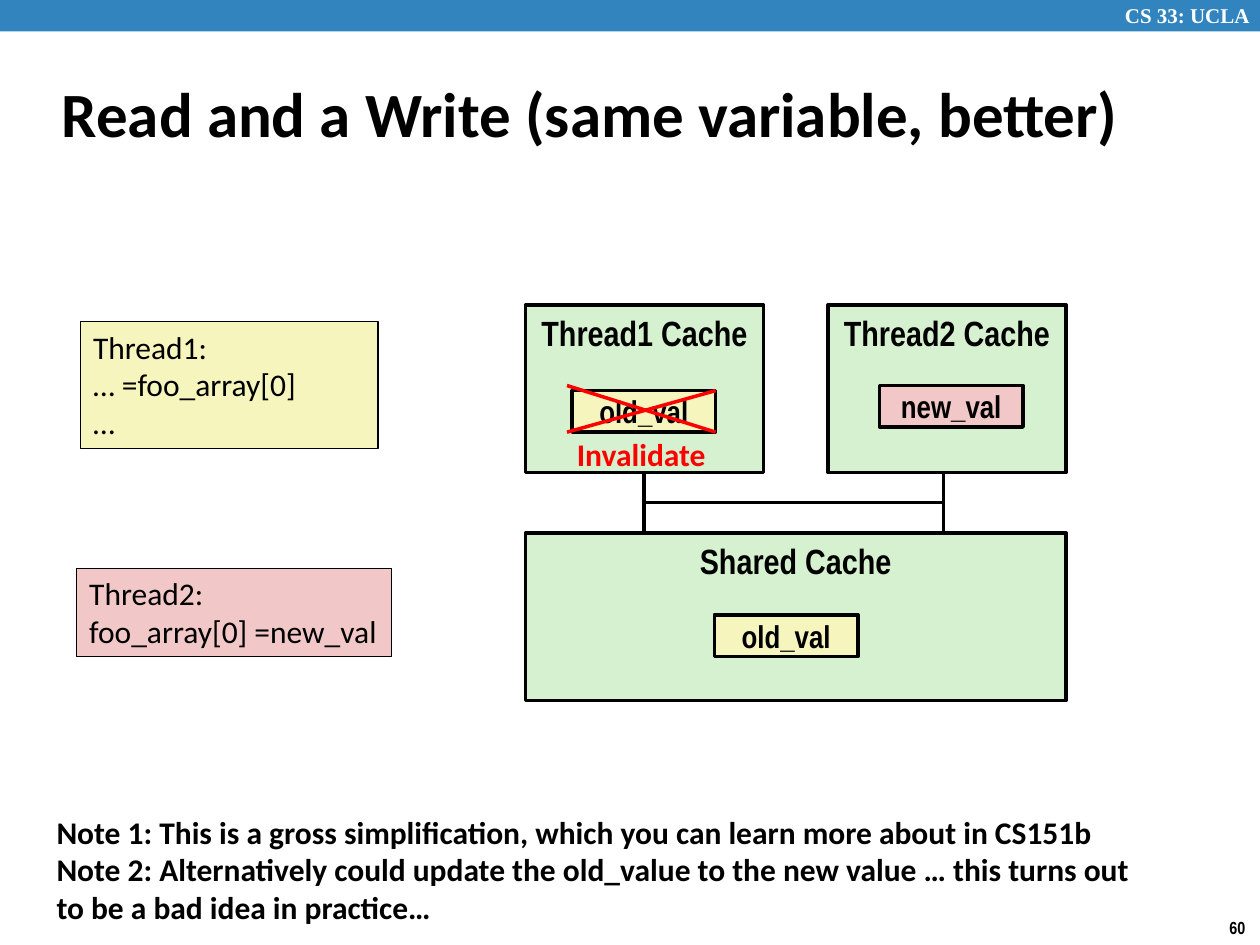
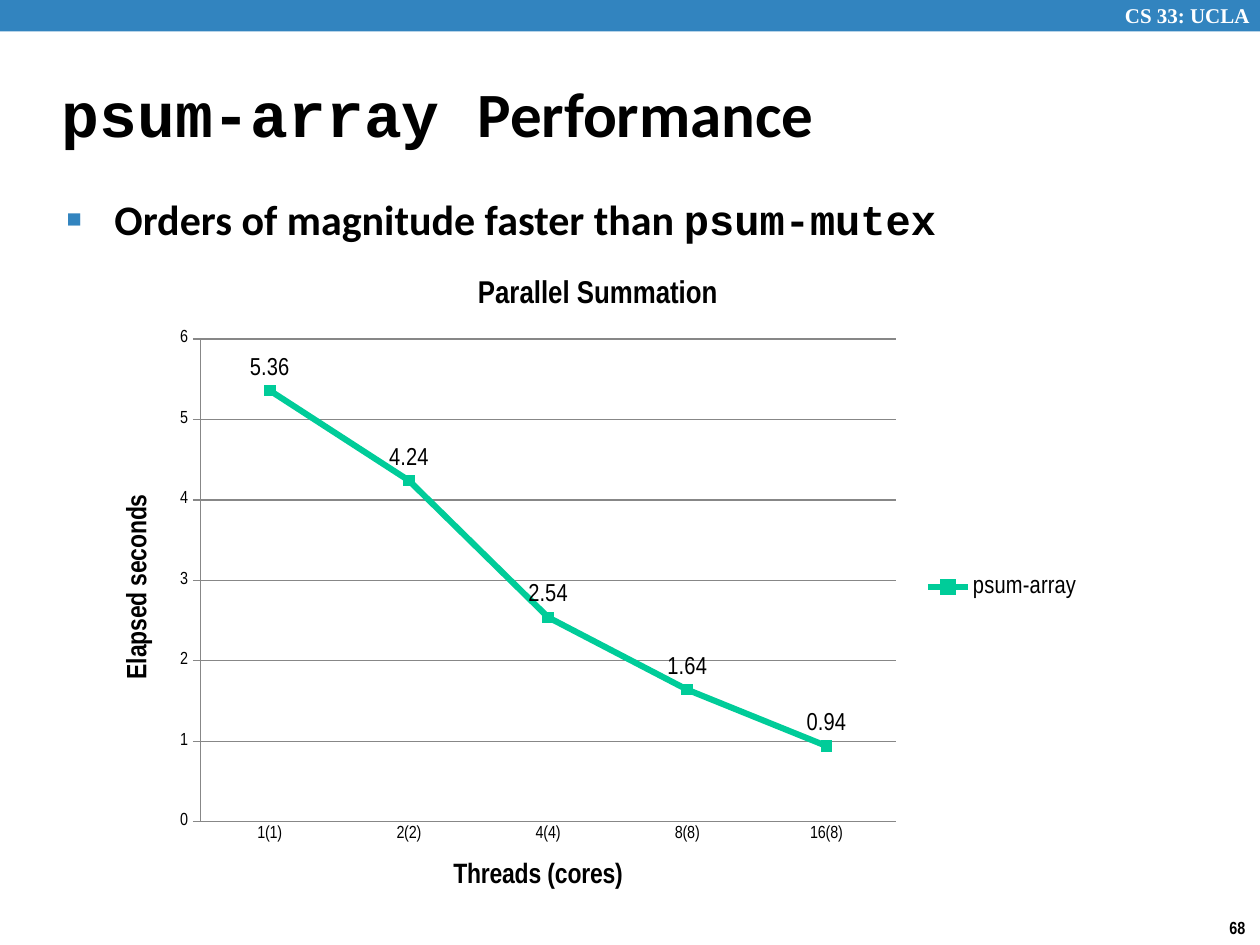
from lxml import etree
from pptx import Presentation
from pptx.chart.data import CategoryChartData
from pptx.dml.color import RGBColor
from pptx.enum.chart import (XL_CHART_TYPE, XL_LABEL_POSITION, XL_LEGEND_POSITION,
                             XL_MARKER_STYLE, XL_TICK_MARK)
from pptx.enum.shapes import MSO_CONNECTOR, MSO_SHAPE
from pptx.enum.text import MSO_ANCHOR, MSO_AUTO_SIZE, PP_ALIGN
from pptx.oxml.ns import qn
from pptx.util import Inches, Pt

BLUE = RGBColor(0x32, 0x84, 0xBF)
GREEN = RGBColor(0xD5, 0xF1, 0xCF)
YELLOW = RGBColor(0xF6, 0xF5, 0xBD)
PINK = RGBColor(0xF1, 0xC7, 0xC7)
TEAL = RGBColor(0x00, 0xCC, 0x99)
RED = RGBColor(0xFF, 0x00, 0x00)
GRAY = RGBColor(0x87, 0x87, 0x87)
BLACK = RGBColor(0x00, 0x00, 0x00)
WHITE = RGBColor(0xFF, 0xFF, 0xFF)

SANS, NARROW, MONO, SERIF = "Calibri", "Arial Narrow", "Courier New", "Times New Roman"

RECTANGLE = MSO_SHAPE.RECTANGLE
STRAIGHT = MSO_CONNECTOR.STRAIGHT
LEFT, CENTER = PP_ALIGN.LEFT, PP_ALIGN.CENTER
TOP, MIDDLE = MSO_ANCHOR.TOP, MSO_ANCHOR.MIDDLE
NO_AUTOFIT = MSO_AUTO_SIZE.NONE
LINE_MARKERS = XL_CHART_TYPE.LINE_MARKERS
SQUARE = XL_MARKER_STYLE.SQUARE
LABEL_ABOVE = XL_LABEL_POSITION.ABOVE
LEGEND_RIGHT = XL_LEGEND_POSITION.RIGHT
TICK_NONE, TICK_OUT = XL_TICK_MARK.NONE, XL_TICK_MARK.OUTSIDE


def style_font(font, size, name, color=BLACK, bold=False):
    font.size = Pt(size)
    font.name = name
    font.color.rgb = color
    font.bold = bold


def write_text(shape, text, size, name=SANS, color=BLACK, bold=True,
               align=LEFT, anchor=TOP, wrap=True):
    frame = shape.text_frame
    frame.text = text
    frame.auto_size = NO_AUTOFIT
    frame.word_wrap = wrap
    frame.vertical_anchor = anchor
    for para in frame.paragraphs:
        para.alignment = align
        for span in para.runs:
            style_font(span.font, size, name, color, bold)
    return frame


def add_code_run(para, text, size):
    span = para.add_run()
    span.text = text
    style_font(span.font, size, MONO, bold=True)


def set_hanging(para, indent):
    properties = para._p.get_or_add_pPr()
    properties.set("marL", str(Inches(indent)))
    properties.set("indent", str(-Inches(indent)))
    return properties


def add_label(page, box, text, size, **style):
    label = page.shapes.add_textbox(*map(Inches, box))
    return write_text(label, text, size, **style)


def add_box(page, box, fill, line_width=None):
    shape = page.shapes.add_shape(RECTANGLE, *map(Inches, box))
    shape.shadow.inherit = False
    shape.fill.solid()
    shape.fill.fore_color.rgb = fill
    if line_width:
        shape.line.color.rgb = BLACK
        shape.line.width = Pt(line_width)
    else:
        shape.line.fill.background()
    return shape


def add_line(page, start, end, color=BLACK):
    line = page.shapes.add_connector(STRAIGHT, *map(Inches, start + end))
    line.line.color.rgb = color
    line.line.width = Pt(2)
    etree.SubElement(line._element.spPr, qn("a:effectLst"))


def add_page(deck, title, title_width, number):
    """Add a slide with the course band, the page number and the title."""
    page = deck.slides.add_slide(deck.slide_layouts[5])
    add_box(page, (0, 0, 10, 0.25), BLUE)
    add_label(page, (8.83, -0.03, 1.24, 0.3), "CS 33: UCLA", 12, name=SERIF, color=WHITE)
    add_label(page, (9.66, 7.23, 0.34, 0.27), number, 10, name=NARROW, wrap=False)
    heading = page.shapes.title
    heading.left, heading.top = Inches(0.39), Inches(0.48)
    heading.width, heading.height = Inches(title_width), Inches(0.83)
    write_text(heading, title, 36, anchor=MIDDLE)
    set_hanging(heading.text_frame.paragraphs[0], 0.13)
    return page


def add_code_box(page, box, code, fill):
    write_text(add_box(page, box, fill, 0.75), code, 18, bold=False)


def add_cache(page, box, name):
    write_text(add_box(page, box, GREEN, 2), name, 20, name=NARROW, align=CENTER)


def add_value(page, left, top, text, fill):
    shape = add_box(page, (left, top, 1.14, 0.33), fill, 2)
    write_text(shape, text, 18, name=NARROW, align=CENTER, anchor=MIDDLE, wrap=False)


def draw_caches(page, left, top):
    """Two private caches joined by a bus to the shared cache below them."""
    width, height, private_width = 4.29, 1.33, 1.89
    second_left = left + width - private_width
    bottom, shared_top = top + height, top + 1.81
    add_cache(page, (left, shared_top, width, height), "Shared Cache")
    add_cache(page, (left, top, private_width, height), "Thread1 Cache")
    add_cache(page, (second_left, top, private_width, height), "Thread2 Cache")

    first_wire, second_wire = left + 0.94, left + 3.32
    bus = (bottom + shared_top) / 2
    for wire in (first_wire, second_wire):
        add_line(page, (wire, shared_top), (wire, bottom))
    add_line(page, (second_wire, bus), (first_wire, bus))

    add_value(page, left + 0.37, top + 0.68, "old_val", YELLOW)
    add_value(page, left + 1.5, top + 2.46, "old_val", YELLOW)
    add_value(page, left + 2.81, top + 0.64, "new_val", PINK)

    cross_left, cross_right, cross_bottom = left + 0.33, left + 1.51, top + 1.01
    add_line(page, (cross_left, top + 0.64), (cross_right, cross_bottom), RED)
    add_line(page, (cross_left, cross_bottom), (cross_right, top + 0.68), RED)
    add_label(page, (left + 0.31, top + 0.98, 1.23, 0.4), "Invalidate", 18,
              color=RED, wrap=False)


def add_bullet(page, box, text, code):
    frame = add_label(page, box, text, 24)
    para = frame.paragraphs[0]
    properties = set_hanging(para, 0.38)
    color = etree.SubElement(properties, qn("a:buClr"))
    etree.SubElement(color, qn("a:srgbClr"), val=str(BLUE))
    etree.SubElement(properties, qn("a:buSzPct"), val="60000")
    etree.SubElement(properties, qn("a:buFont"), typeface="Arial")
    etree.SubElement(properties, qn("a:buChar"), char="■")
    add_code_run(para, code, 24)


def set_chart_title(owner, text, size):
    """Title a chart or one of its axes."""
    owner.has_title = True
    title = owner.chart_title if hasattr(owner, "chart_title") else owner.axis_title
    title.text_frame.text = text
    style_font(title.text_frame.paragraphs[0].runs[0].font, size, NARROW, bold=True)


def set_plot_area(chart, **fractions):
    plot_area = chart._chartSpace.chart.plotArea
    for old in plot_area.findall(qn("c:layout")):
        plot_area.remove(old)
    layout = etree.Element(qn("c:layout"))
    plot_area.insert(0, layout)
    manual = etree.SubElement(layout, qn("c:manualLayout"))
    settings = {"layoutTarget": "inner", "xMode": "edge", "yMode": "edge", **fractions}
    for key, value in settings.items():
        etree.SubElement(manual, qn(f"c:{key}"), val=str(value))


def style_axis(axis, title, tick):
    set_chart_title(axis, title, 16)
    axis.major_tick_mark = tick
    axis.minor_tick_mark = TICK_NONE
    axis.format.line.color.rgb = GRAY
    style_font(axis.tick_labels.font, 10, NARROW)


def add_timing_chart(page, box):
    data = CategoryChartData()
    data.categories = ["1(1)", "2(2)", "4(4)", "8(8)", "16(8)"]
    data.add_series("psum-array", [5.36, 4.24, 2.54, 1.64, 0.94])
    chart = page.shapes.add_chart(LINE_MARKERS, *map(Inches, box), data).chart
    style_font(chart.font, 10, NARROW)
    set_chart_title(chart, "Parallel Summation", 18)
    set_plot_area(chart, x=0.1, y=0.13, w=0.7, h=0.72)

    style_axis(chart.category_axis, "Threads (cores)", TICK_NONE)
    seconds = chart.value_axis
    style_axis(seconds, "Elapsed seconds", TICK_OUT)
    seconds.minimum_scale, seconds.maximum_scale, seconds.major_unit = 0, 6, 1
    seconds.has_major_gridlines = True
    seconds.major_gridlines.format.line.color.rgb = GRAY

    chart.has_legend = True
    chart.legend.position = LEGEND_RIGHT
    chart.legend.include_in_layout = False
    style_font(chart.legend.font, 14, NARROW)

    plot = chart.plots[0]
    plot.vary_by_categories = False
    series = plot.series[0]
    series.smooth = False
    series.format.line.color.rgb = TEAL
    series.format.line.width = Pt(3.5)
    series.marker.style = SQUARE
    series.marker.size = 6
    series.marker.format.fill.solid()
    series.marker.format.fill.fore_color.rgb = TEAL
    series.marker.format.line.color.rgb = TEAL
    labels = series.data_labels
    labels.show_value = True
    labels.position = LABEL_ABOVE
    style_font(labels.font, 14, NARROW)


def build_invalidate_page(deck):
    page = add_page(deck, "Read and a Write (same variable, better)", 8.94, "60")
    draw_caches(page, 4.17, 2.42)
    add_code_box(page, (0.64, 2.55, 2.36, 1.01), "Thread1:\n… =foo_array[0]\n…", YELLOW)
    add_code_box(page, (0.61, 4.51, 2.5, 0.7), "Thread2:\nfoo_array[0] =new_val", PINK)
    notes = ("Note 1: This is a gross simplification, which you can learn more about in CS151b\n"
             "Note 2: Alternatively could update the old_value to the new value … "
             "this turns out to be a bad idea in practice…")
    add_label(page, (0.35, 6.4, 8.88, 1.01), notes, 18)


def build_performance_page(deck):
    page = add_page(deck, "psum-array Performance", 8.3, "68")
    para = page.shapes.title.text_frame.paragraphs[0]
    span = para.runs[0]
    span.text = "psum-array "
    span.font.name = MONO
    ending = para.add_run()
    ending.text = "Performance"
    style_font(ending.font, 36, SANS, bold=True)
    add_bullet(page, (0.43, 1.49, 8.64, 0.84),
               "Orders of magnitude faster than ", "psum-mutex")
    add_timing_chart(page, (0.8, 2, 7.89, 5.32))


def main():
    deck = Presentation()
    deck.slide_width, deck.slide_height = Inches(10), Inches(7.5)
    build_invalidate_page(deck)
    build_performance_page(deck)
    deck.save("out.pptx")


if __name__ == "__main__":
    main()
